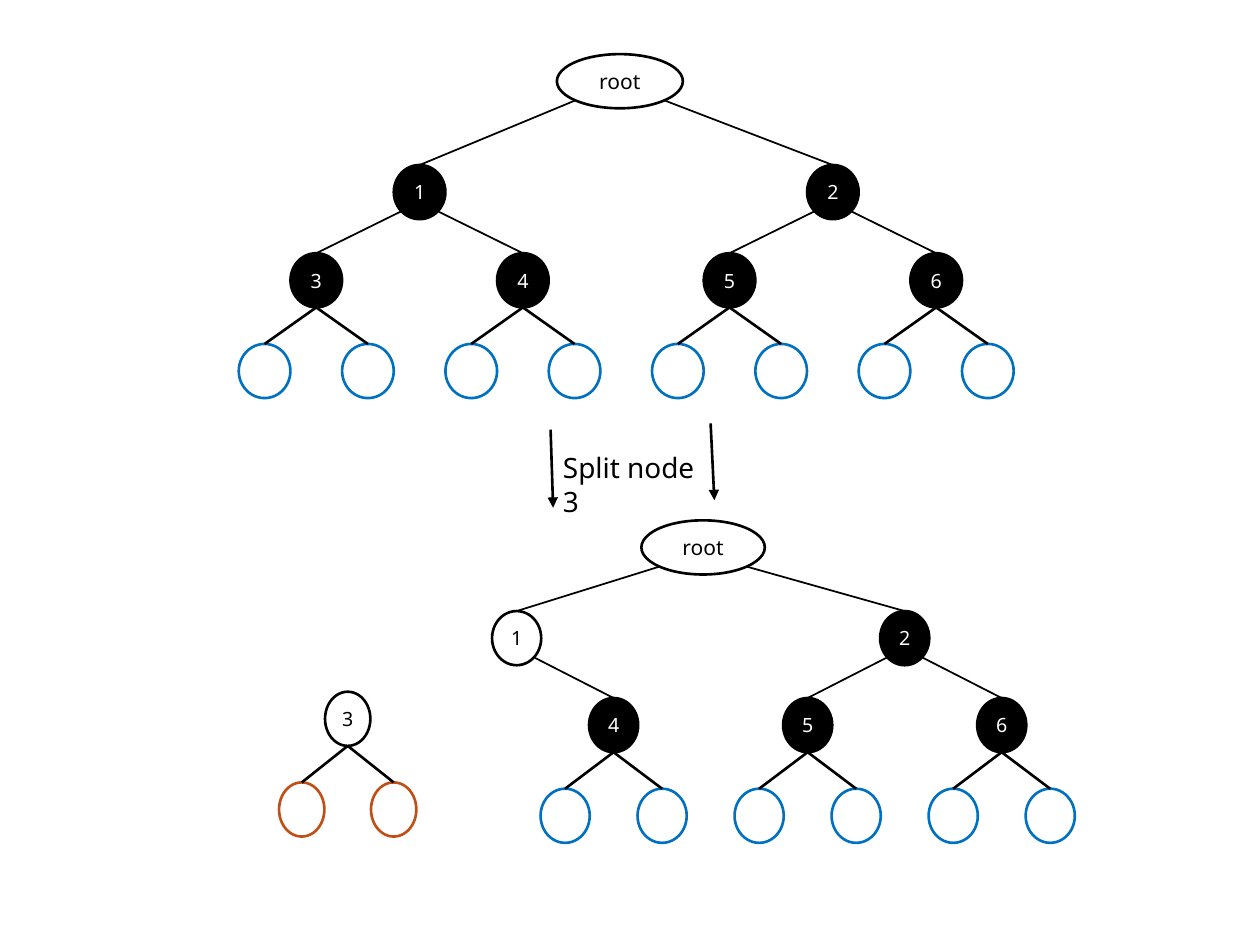
from math import sqrt

from lxml.etree import SubElement
from pptx import Presentation
from pptx.dml.color import RGBColor as RGB
from pptx.enum.shapes import MSO_CONNECTOR as Link, MSO_SHAPE as Kind
from pptx.enum.text import MSO_ANCHOR as Anchor, PP_ALIGN as Align
from pptx.oxml.ns import qn
from pptx.util import Inches, Pt

COLORS = {"ink": "000000", "paper": "FFFFFF", "blue": "0070C0", "rust": "C04F15"}
FONT = "Noto Sans"
HIGH = 0.43   # height of every node
DROP = 0.72   # from a lower node to its leaves


def tint(name):
    return RGB.from_string(COLORS[name])


class Board:
    """Holds the slide and the style of the trees."""

    def __init__(self, slide):
        self.slide = slide

    def words(self, frame, text, size, color, align):
        frame.word_wrap = True
        para = frame.paragraphs[0]
        para.alignment = align
        run = para.add_run()
        run.text = text
        for key, val in {"name": FONT, "size": Pt(size)}.items():
            setattr(run.font, key, val)
        run.font.color.rgb = tint(color)

    def node(self, mid, top, wide, text="", fill="paper", edge="ink", size=11.2):
        oval = self.slide.shapes.add_shape(
            Kind.OVAL, Inches(mid - wide / 2), Inches(top), Inches(wide), Inches(HIGH))
        oval.shadow.inherit = False
        if fill:
            oval.fill.solid()
            oval.fill.fore_color.rgb = tint(fill)
        else:
            oval.fill.background()
        oval.line.color.rgb = tint(edge)
        oval.line.width = Pt(1.5)
        if text:
            frame = oval.text_frame
            pads = dict.fromkeys(
                ("margin_left", "margin_right", "margin_top", "margin_bottom"), 0)
            for key, val in {**pads, "vertical_anchor": Anchor.MIDDLE}.items():
                setattr(frame, key, val)
            ink = "paper" if fill == "ink" else "ink"
            self.words(frame, text, size, ink, Align.CENTER)
        return oval

    def line(self, x1, y1, x2, y2, width=1.5, arrow=False):
        link = self.slide.shapes.add_connector(
            Link.STRAIGHT, Inches(x1), Inches(y1), Inches(x2), Inches(y2))
        link.line.color.rgb = tint("ink")
        link.line.width = Pt(width)
        props = link.element.spPr
        if arrow:
            SubElement(props.find(qn("a:ln")), qn("a:tailEnd"), type="triangle")
        SubElement(props, qn("a:effectLst"))
        return link

    def branch(self, top, child, side=0):
        """Join a node to its child; side is -1 left, 0 bottom, 1 right."""
        slope = 1 / sqrt(2) if side else 1
        x = top.left + top.width / 2 * (1 + side * slope)
        y = top.top + top.height / 2 * (1 + slope)
        end = child.left + child.width / 2
        spots = [v / Inches(1) for v in (x, y, end, child.top)]
        link = self.line(*spots, width=1 if side else 1.5)
        link.end_connect(child, 0)

    def fork(self, text, mid, top, wide, gap, fill="ink", edge="blue"):
        """A lower node with its two leaves."""
        head = self.node(mid, top, wide, text, fill)
        for side in (-1, 1):
            leaf = self.node(mid + side * gap / 2, top + DROP, wide, edge=edge)
            self.branch(head, leaf)
        return head

    def tree(self, root, tops, wide, span, start, gap, pairs):
        """pairs: (text, fill, side and text of each child) per upper node."""
        head = self.node(root, tops[0], span, "root", size=12)
        for i, (text, fill, kids) in enumerate(pairs):
            mid = start + 4 * gap * i
            top = self.node(mid, tops[1], wide, text, fill)
            self.branch(head, top, 2 * i - 1)
            for side, name in kids:
                kid = self.fork(name, mid + side * gap, tops[2], wide, gap)
                self.branch(top, kid, side)

    def label(self, text, x, y, wide, high, size):
        box = self.slide.shapes.add_textbox(
            Inches(x), Inches(y), Inches(wide), Inches(high))
        self.words(box.text_frame, text, size, "ink", Align.LEFT)


def main():
    deck = Presentation()
    deck.slide_width, deck.slide_height = Inches(10), Inches(7.5)
    board = Board(deck.slides.add_slide(deck.slide_layouts[6]))

    # Full tree
    right = ("2", "ink", [(-1, "5"), (1, "6")])
    board.tree(4.92, (0.43, 1.31, 2.01), 0.41, 1, 3.33, 0.82,
               [("1", "ink", [(-1, "3"), (1, "4")]), right])

    # Split step
    board.line(4.37, 3.41, 4.39, 4.03, arrow=True)
    board.label("Split node 3", 4.37, 3.53, 1.34, 0.37, 16)
    board.line(5.64, 3.36, 5.67, 3.97, arrow=True)

    # Node 3 cut off, and the tree that remains
    board.fork("3", 2.76, 5.49, 0.36, 0.73, fill=None, edge="rust")
    board.tree(5.58, (4.13, 4.85, 5.54), 0.39, 0.98, 4.1, 0.77,
               [("1", "paper", [(1, "4")]), right])

    deck.save("out.pptx")


if __name__ == "__main__":
    main()
